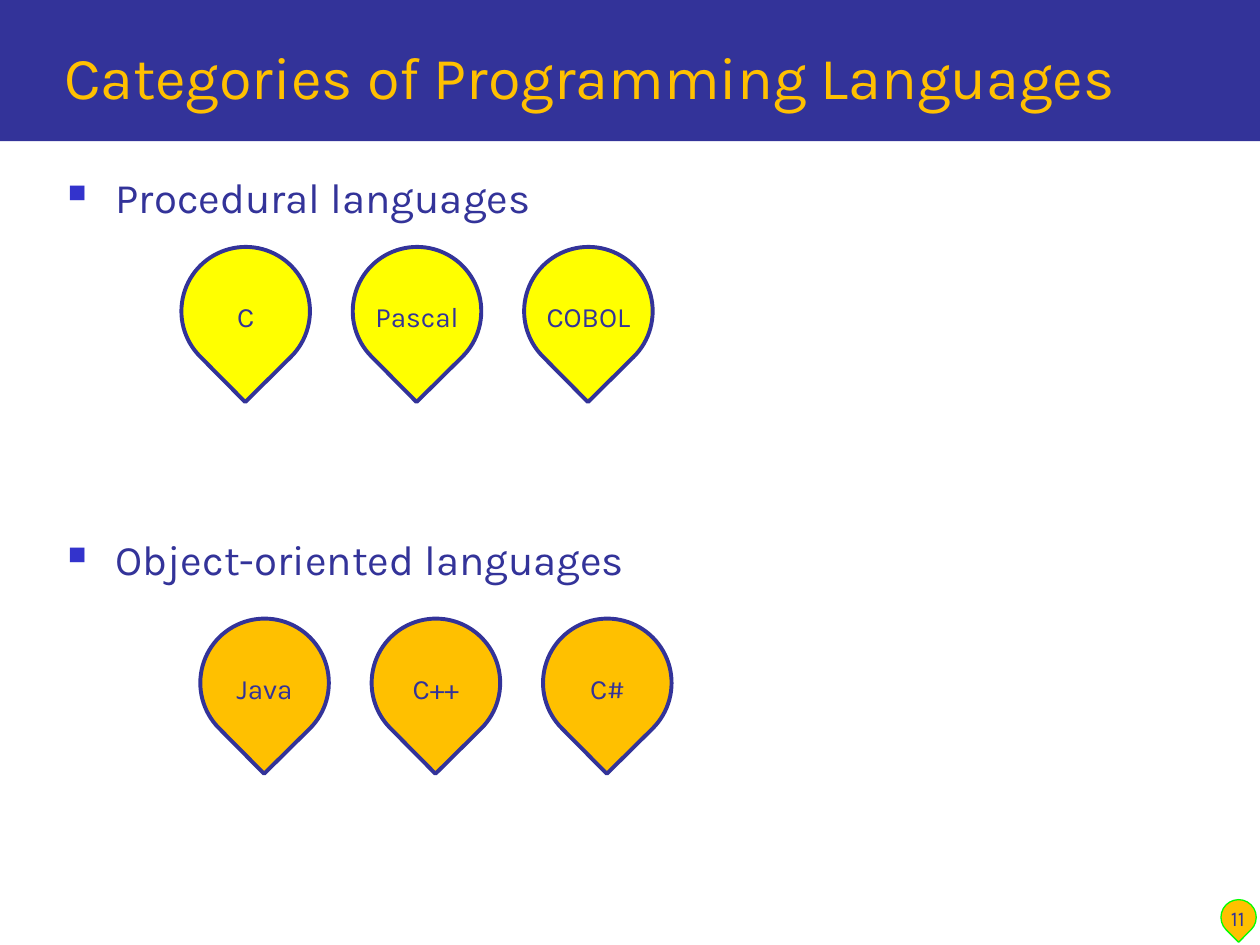
from dataclasses import dataclass

from lxml.etree import SubElement
from pptx import Presentation
from pptx.dml.color import RGBColor
from pptx.enum.shapes import MSO_SHAPE
from pptx.enum.text import MSO_ANCHOR, PP_ALIGN
from pptx.oxml.ns import qn
from pptx.util import Inches, Pt


@dataclass(frozen=True)
class Theme:
    """Colours, font and type sizes of the slide."""
    navy: RGBColor = RGBColor(0x33, 0x33, 0x99)
    bullet: str = "3333CC"
    amber: RGBColor = RGBColor(0xFF, 0xC0, 0x00)
    yellow: RGBColor = RGBColor(0xFF, 0xFF, 0x00)
    green: RGBColor = RGBColor(0x00, 0xFF, 0x00)
    font: str = "Karla"
    title: Pt = Pt(34)
    heading: Pt = Pt(24)
    label: Pt = Pt(16)
    page: Pt = Pt(12)


THEME = Theme()


def style_font(font, size, color):
    """Apply the theme font with a size and colour."""
    font.name = THEME.font
    font.size = size
    font.color.rgb = color


def add_text(slide, box, text, size, color, align=PP_ALIGN.LEFT, anchor=MSO_ANCHOR.TOP):
    """Place text in a wrapping box given in inches and return its frame."""
    frame = slide.shapes.add_textbox(*map(Inches, box)).text_frame
    frame.word_wrap = True
    frame.vertical_anchor = anchor
    frame.text = text
    for paragraph in frame.paragraphs:
        paragraph.alignment = align
        for run in paragraph.runs:
            style_font(run.font, size, color)
    return frame


def add_drop(slide, box, rotation, fill, line, line_width):
    """Draw a teardrop with its point turned downwards."""
    drop = slide.shapes.add_shape(MSO_SHAPE.TEAR, *map(Inches, box))
    drop.rotation = rotation
    drop.shadow.inherit = False
    drop.fill.solid()
    drop.fill.fore_color.rgb = fill
    drop.line.color.rgb = line
    drop.line.width = line_width


def add_title_band(slide, box, title):
    """Draw the navy band with the slide title inside it."""
    left, top, width, height = box
    band = slide.shapes.add_shape(MSO_SHAPE.RECTANGLE, *map(Inches, box))
    band.shadow.inherit = False
    band.fill.solid()
    band.fill.fore_color.rgb = THEME.navy
    band.line.fill.background()
    title_box = (left + 0.41, top + 0.17, width - 0.65, height - 0.36)
    add_text(slide, title_box, title, THEME.title, THEME.amber, anchor=MSO_ANCHOR.BOTTOM)


def add_headings(slide, box, headings, gap):
    """Write the category headings as square bullets separated by a gap."""
    frame = add_text(slide, box, "\n".join(headings), THEME.heading, THEME.navy)
    for index, paragraph in enumerate(frame.paragraphs):
        properties = paragraph._p.get_or_add_pPr()
        properties.set("marL", str(Inches(0.38)))
        properties.set("indent", str(Inches(-0.38)))
        bullet_color = SubElement(properties, qn("a:buClr"))
        SubElement(bullet_color, qn("a:srgbClr"), val=THEME.bullet)
        SubElement(properties, qn("a:buSzPct"), val="60000")
        SubElement(properties, qn("a:buChar"), char="■")
        if index:
            paragraph.space_before = gap


def add_language_row(slide, box, languages, fill):
    """Spread one labelled drop per language evenly across the box."""
    left, top, width, size = box
    pitch = (width - size) / (len(languages) - 1)
    for index, language in enumerate(languages):
        x = left + index * pitch
        add_drop(slide, (x, top, size, size), 135.3, fill, THEME.navy, Pt(2.25))
        label_box = (x - 0.06, top + 0.37, size + 0.12, 0.34)
        add_text(slide, label_box, language, THEME.label, THEME.navy, PP_ALIGN.CENTER)


def add_page_number(slide, box, number):
    """Draw the small page marker with its number."""
    left, top, width, height = box
    add_drop(slide, box, 134.9, THEME.amber, THEME.green, Pt(0.75))
    number_box = (left - 0.15, top - 0.2, width + 0.29, height + 0.22)
    add_text(slide, number_box, number, THEME.page, THEME.navy,
             PP_ALIGN.CENTER, MSO_ANCHOR.BOTTOM)


def main():
    """Build and save the slide."""
    presentation = Presentation()
    presentation.slide_width = Inches(10)
    presentation.slide_height = Inches(7.5)
    slide = presentation.slides.add_slide(presentation.slide_layouts[6])
    add_title_band(slide, (0, 0, 10, 1.12), "Categories of Programming Languages")
    add_headings(slide, (0.44, 1.31, 9.28, 5.4),
                 ["Procedural languages", "Object-oriented languages"], Pt(178))
    add_language_row(slide, (1.44, 1.96, 3.74, 1.02), ["C", "Pascal", "COBOL"], THEME.yellow)
    add_language_row(slide, (1.59, 4.91, 3.74, 1.02), ["Java", "C++", "C#"], THEME.amber)
    add_page_number(slide, (9.69, 7.14, 0.28, 0.28), "11")
    presentation.save("out.pptx")


if __name__ == "__main__":
    main()
